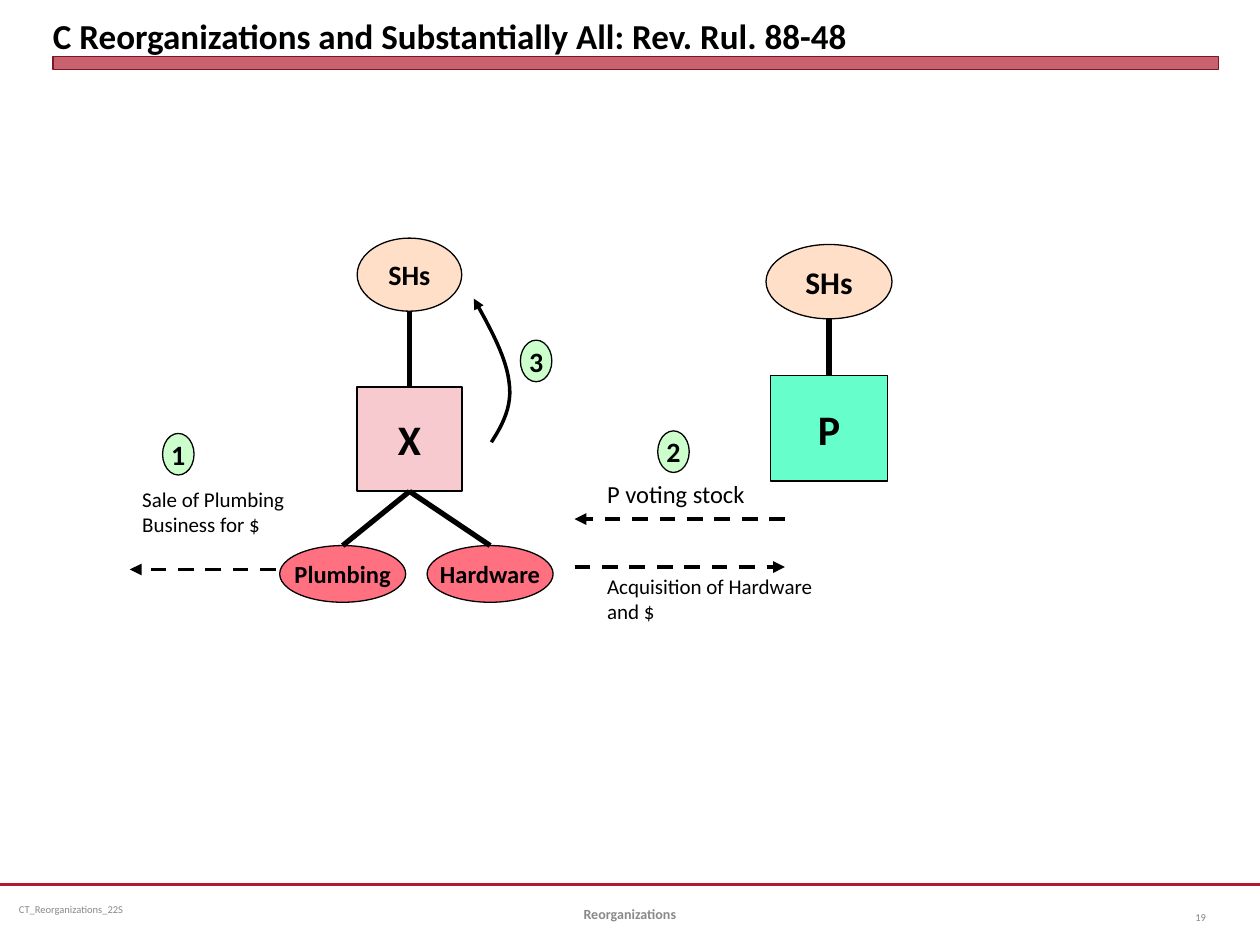
from dataclasses import dataclass

from lxml import etree
from pptx import Presentation
from pptx import util as u
from pptx.dml.color import RGBColor
from pptx.enum import dml, shapes, text
from pptx.oxml import ns

Inches = u.Inches


@dataclass(frozen=True)
class Theme:
    font: str = "Calibri"
    ink: str = "000000"
    rule: str = "B01C2E"
    bar_edge: str = "821522"
    footer: str = "898989"
    page_number: str = "808080"
    holder: str = "FFDFC8"
    target: str = "F7CAD0"
    acquirer: str = "66FFCC"
    business: str = "FF7081"
    step: str = "CCFFCC"
    title_size: float = 20
    company_size: float = 24
    large_size: float = 18
    label_size: float = 16
    business_size: float = 14
    note_size: float = 12
    section_size: float = 8
    small_size: float = 6
    outline: float = 0.75
    box_outline: float = 1
    link: float = 3
    flow: float = 2.25
    curve: float = 2


THEME = Theme()
RECTANGLE = shapes.MSO_SHAPE.RECTANGLE
OVAL = shapes.MSO_SHAPE.OVAL
LEFT, CENTER, RIGHT = text.PP_ALIGN.LEFT, text.PP_ALIGN.CENTER, text.PP_ALIGN.RIGHT
TOP, MIDDLE, BOTTOM = text.MSO_ANCHOR.TOP, text.MSO_ANCHOR.MIDDLE, text.MSO_ANCHOR.BOTTOM


def rgb(color):
    return RGBColor.from_string(color)


def write(shape, words, size, color=THEME.ink, bold=False, align=LEFT,
          anchor=TOP, wrap=True, inset=(0.1, 0.05)):
    frame = shape.text_frame
    frame.word_wrap = wrap
    frame.vertical_anchor = anchor
    frame.margin_left = frame.margin_right = Inches(inset[0])
    frame.margin_top = frame.margin_bottom = Inches(inset[1])
    paragraph = frame.paragraphs[0]
    paragraph.alignment = align
    run = paragraph.add_run()
    run.text = words
    run.font.name = THEME.font
    run.font.size = u.Pt(size)
    run.font.bold = bold
    run.font.color.rgb = rgb(color)


def add_text(slide, box, words, size, **style):
    write(slide.shapes.add_textbox(*map(Inches, box)), words, size, **style)


def add_node(slide, kind, box, fill, line_width, words="", size=0, edge=THEME.ink):
    node = slide.shapes.add_shape(kind, *map(Inches, box))
    node.shadow.inherit = False
    node.fill.solid()
    node.fill.fore_color.rgb = rgb(fill)
    node.line.color.rgb = rgb(edge)
    node.line.width = u.Pt(line_width)
    if words:
        write(node, words, size, bold=True, align=CENTER, anchor=MIDDLE, wrap=False)
    return node


def add_arrowhead(line):
    etree.SubElement(line.get_or_add_ln(), ns.qn("a:tailEnd"), type="triangle")


def add_line(slide, start, end, width, color=THEME.ink):
    line = slide.shapes.add_connector(
        shapes.MSO_CONNECTOR.STRAIGHT, *map(Inches, (*start, *end)))
    line.line.color.rgb = rgb(color)
    line.line.width = u.Pt(width)
    etree.SubElement(line._element.spPr, ns.qn("a:effectLst"))
    return line


def add_flow(slide, start, end):
    """Dashed arrow for a transfer."""
    arrow = add_line(slide, start, end, THEME.flow)
    arrow.line.dash_style = dml.MSO_LINE.DASH
    add_arrowhead(arrow)


def add_step(slide, left, top, number):
    add_node(slide, OVAL, (left, top, 0.25, 0.33), THEME.step, THEME.outline,
             str(number), THEME.label_size)


def add_header(slide, left, top, width):
    bar = add_node(slide, RECTANGLE, (left, top + 0.4, width, 0.1), THEME.rule,
                   THEME.outline, edge=THEME.bar_edge)
    color = bar.fill._xPr.find(".//" + ns.qn("a:srgbClr"))
    etree.SubElement(color, ns.qn("a:alpha"), val="69000")
    add_text(slide, (left, top, width, 0.4),
             "C Reorganizations and Substantially All: Rev. Rul. 88-48",
             THEME.title_size, bold=True, anchor=BOTTOM, inset=(0, 0))


def add_footer(slide, top, width):
    add_line(slide, (0, top), (width, top), THEME.box_outline + 0.25, THEME.rule)
    add_text(slide, (0.08, top, 2.58, 0.4), "CT_Reorganizations_22S",
             THEME.small_size, color=THEME.footer, anchor=MIDDLE, inset=(0.07, 0.04))
    add_text(slide, ((width - 3.17) / 2, top + 0.03, 3.17, 0.4), "Reorganizations",
             THEME.section_size, color=THEME.footer, bold=True, align=CENTER, anchor=MIDDLE)
    add_text(slide, (width - 0.83, top + 0.06, 0.5, 0.4), "19", THEME.small_size,
             color=THEME.page_number, align=RIGHT, anchor=MIDDLE)


def add_company(slide, center, top, holder_size, company_size, gap, name, fill, label_size):
    """Shareholders' oval linked to the company box below it."""
    def centered(y, size):
        return (center - size[0] / 2, y, *size)

    holder_bottom = top + holder_size[1]
    company_top = holder_bottom + gap
    add_node(slide, OVAL, centered(top, holder_size), THEME.holder, THEME.outline,
             "SHs", label_size)
    company = add_node(slide, RECTANGLE, centered(company_top, company_size), fill,
                       THEME.box_outline, name, THEME.company_size)
    link = add_line(slide, (center, company_top), (center, holder_bottom), THEME.link)
    link.begin_connect(company, 0)
    return company


def add_businesses(slide, company, center, company_bottom):
    top = company_bottom + 0.43
    for name, offset in (("Plumbing", -0.53), ("Hardware", 0.64)):
        middle = center + offset
        add_node(slide, OVAL, (middle - 0.5, top, 1, 0.45), THEME.business,
                 THEME.outline, name, THEME.business_size)
        link = add_line(slide, (center, company_bottom), (middle, top), THEME.link)
        link.begin_connect(company, 2)


def add_sale(slide, left, top):
    add_step(slide, left + 0.26, top, 1)
    add_text(slide, (left, top + 0.37, 1.42, 0.5), "Sale of Plumbing Business for $",
             THEME.note_size)
    add_flow(slide, (left + 1.16, top + 1.08), (left, top + 1.08))


def add_acquisition(slide, left, top, width):
    add_step(slide, left + 0.66, top, 2)
    add_text(slide, (left + 0.16, top + 0.33, 1.31, 0.34), "P voting stock",
             THEME.business_size, wrap=False)
    add_flow(slide, (left + width, top + 0.7), (left, top + 0.7))
    add_flow(slide, (left, top + 1.08), (left + width, top + 1.08))
    add_text(slide, (left + 0.16, top + 1.08, 1.89, 0.5),
             "Acquisition of Hardware and $", THEME.note_size)


def bezier(points, t):
    weights = ((1 - t) ** 3, 3 * t * (1 - t) ** 2, 3 * t ** 2 * (1 - t), t ** 3)
    return tuple(sum(w * p[axis] for w, p in zip(weights, points)) for axis in (0, 1))


def add_distribution(slide, left, top):
    """Curved arrow from the target back up to its shareholders."""
    start, bend, end = (0.14, 1.14), (0.28, 0.66), (0, 0)
    curves = ((start, (0.23, 1), (0.31, 0.85), bend),
              (bend, (0.26, 0.47), (0.13, 0.23), end))
    steps = 12
    points = [bezier(curve, i / steps) for curve in curves for i in range(1, steps + 1)]

    def place(point):
        return Inches(left + point[0]), Inches(top + point[1])

    builder = slide.shapes.build_freeform(*place(start))
    builder.add_line_segments([place(point) for point in points], close=False)
    arrow = builder.convert_to_shape()
    arrow.shadow.inherit = False
    arrow.fill.background()
    arrow.line.color.rgb = rgb(THEME.ink)
    arrow.line.width = u.Pt(THEME.curve)
    add_arrowhead(arrow)
    add_step(slide, left + 0.37, top + 0.33, 3)


def main():
    presentation = Presentation()
    presentation.slide_width, presentation.slide_height = Inches(10), Inches(7.5)
    slide = presentation.slides.add_slide(presentation.slide_layouts[6])
    add_header(slide, 0.42, 0.05, 9.25)
    add_footer(slide, 7.02, 10)
    add_company(slide, 6.58, 1.94, (1, 0.59), (0.93, 0.84), 0.45,
                "P", THEME.acquirer, THEME.large_size)
    target = add_company(slide, 3.25, 1.89, (0.83, 0.58), (0.83, 0.83), 0.6,
                         "X", THEME.target, THEME.label_size)
    add_businesses(slide, target, 3.25, 3.9)
    add_sale(slide, 1.03, 3.44)
    add_acquisition(slide, 4.56, 3.42, 1.67)
    add_distribution(slide, 3.76, 2.37)
    presentation.save("out.pptx")


if __name__ == "__main__":
    main()
